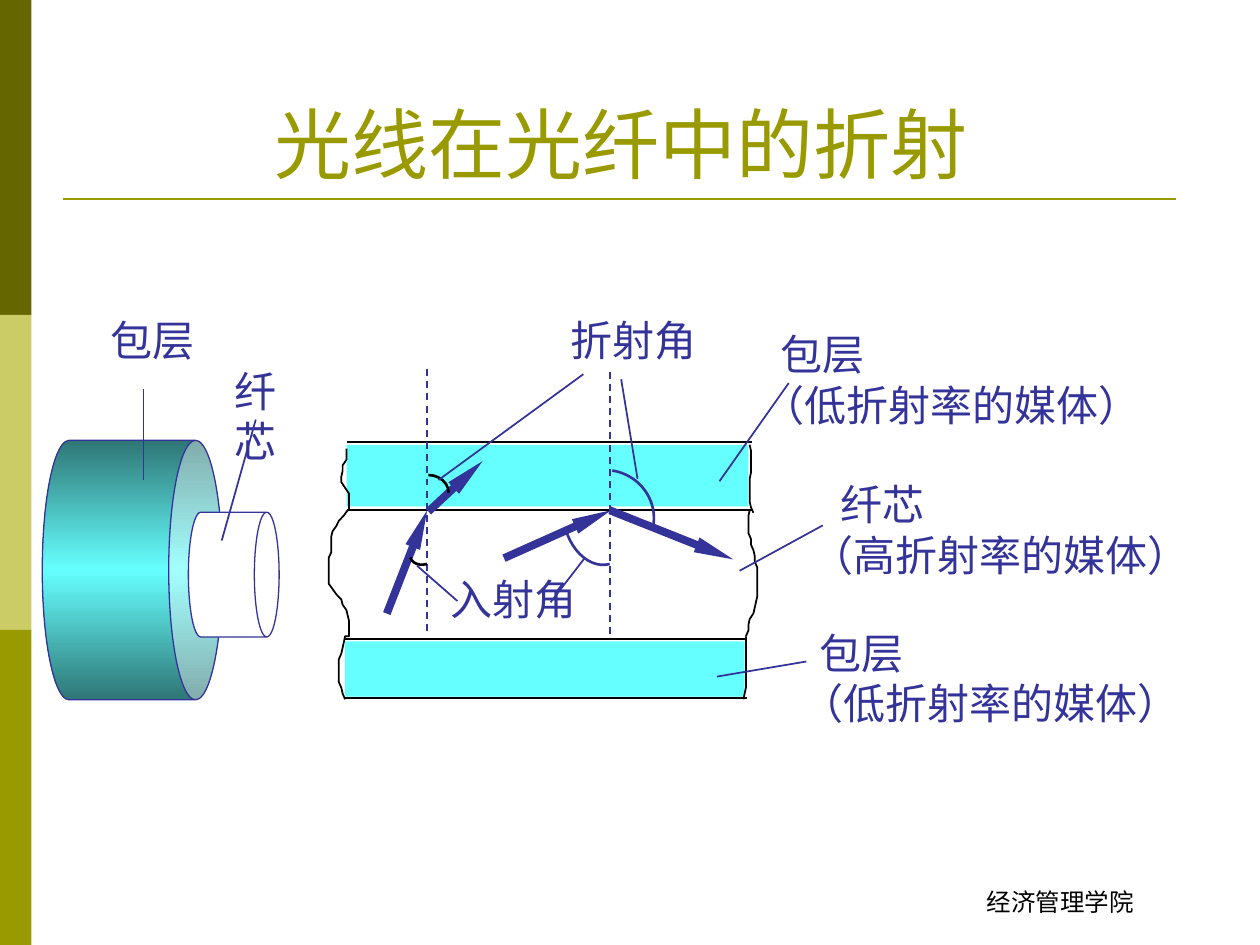
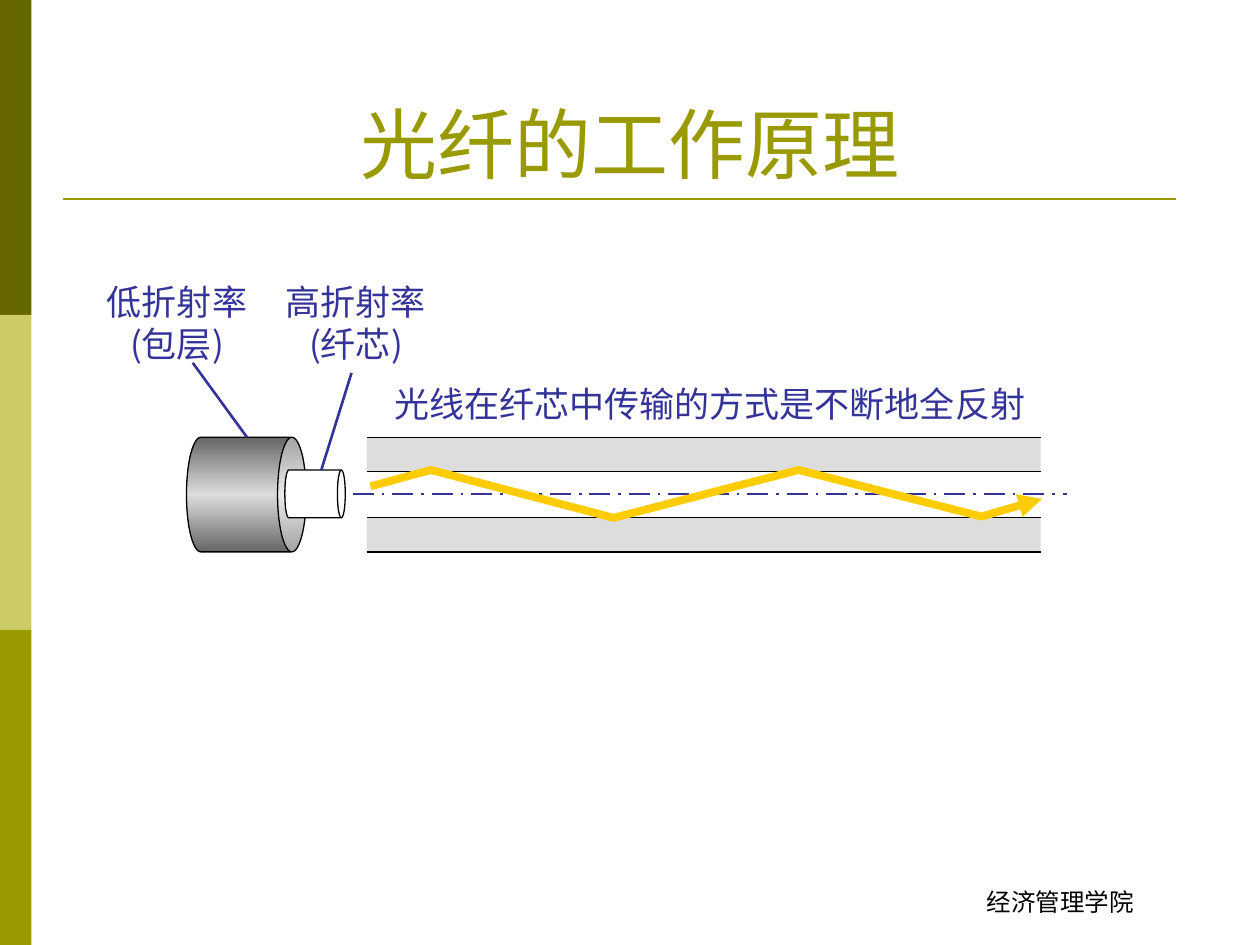
from copy import deepcopy

from pptx import Presentation
from pptx.dml.color import RGBColor
from pptx.enum.dml import MSO_LINE
from pptx.enum.shapes import MSO_CONNECTOR, MSO_SHAPE
from pptx.enum.text import MSO_ANCHOR, PP_ALIGN
from pptx.oxml.ns import qn
from pptx.util import Inches, Pt

STRAIGHT = MSO_CONNECTOR.STRAIGHT
RECT, CAN, ARC = MSO_SHAPE.RECTANGLE, MSO_SHAPE.CAN, MSO_SHAPE.ARC
DASH, DASHDOT = MSO_LINE.DASH, MSO_LINE.LONG_DASH_DOT
LEFT, CENTER = PP_ALIGN.LEFT, PP_ALIGN.CENTER
TOP, BOTTOM = MSO_ANCHOR.TOP, MSO_ANCHOR.BOTTOM
HAN = "Noto Sans CJK SC"
HUES = {
    "dark": "666600", "pale": "CCCC66", "olive": "999900",
    "ink": "333399", "black": "000000", "white": "FFFFFF",
    "aqua": "66FFFF", "teal": "2F7676",
    "gray": "DDDDDD", "shade": "666666", "gold": "FFCC00",
}


def rgb(hue):
    """Return the colour with the given name."""
    return RGBColor.from_string(HUES[hue])


def style(frame, size, font, hue, align=LEFT, anchor=TOP):
    """Format all the text of a frame."""
    frame.word_wrap = True
    frame.vertical_anchor = anchor
    for para in frame.paragraphs:
        para.alignment = align
        for run in para.runs:
            run.font.size = Pt(size)
            run.font.name = font
            run.font.color.rgb = rgb(hue)
            props = run.font._element
            props.append(props.makeelement(qn("a:ea"), {"typeface": HAN}))


def label(slide, text, x, y, w, h, size=24, font="Arial", hue="ink",
          align=LEFT, anchor=TOP, indent=0):
    """Add a text box, with an optional indent on its first line."""
    box = slide.shapes.add_textbox(Inches(x), Inches(y), Inches(w), Inches(h))
    frame = box.text_frame
    frame.text = text
    style(frame, size, font, hue, align, anchor)
    if indent:
        props = frame.paragraphs[0]._p.get_or_add_pPr()
        props.set("marL", str(Inches(indent)))
        props.set("indent", "0")


def pen(shape, hue, width):
    """Set the line of a shape."""
    shape.line.color.rgb = rgb(hue)
    shape.line.width = Pt(width)


def tip(shape, w="med", length="med"):
    """Put a triangle at the end of a line."""
    line = shape._element.spPr.get_or_add_ln()
    line.append(line.makeelement(
        qn("a:tailEnd"), {"type": "triangle", "w": w, "len": length}))


def link(slide, x1, y1, x2, y2, hue="ink", width=1.0, dash=None):
    """Add a straight line."""
    line = slide.shapes.add_connector(
        STRAIGHT, Inches(x1), Inches(y1), Inches(x2), Inches(y2))
    pen(line, hue, width)
    if dash:
        line.line.dash_style = dash
    props = line._element.spPr
    props.append(props.makeelement(qn("a:effectLst"), {}))
    return line


def solid(slide, kind, x, y, w, h, fill=None, turn=0):
    """Add a preset shape without line or shadow."""
    shape = slide.shapes.add_shape(
        kind, Inches(x), Inches(y), Inches(w), Inches(h))
    shape.shadow.inherit = False
    shape.rotation = turn
    shape.line.fill.background()
    if fill:
        shape.fill.solid()
        shape.fill.fore_color.rgb = rgb(fill)
    else:
        shape.fill.background()
    return shape


def tube(slide, x, y, w, h, lip, hue, fill="white", edge=None):
    """Add a cylinder on its side, shaded towards its edges if asked."""
    can = solid(slide, CAN, x, y, w, h, fill, 90)
    can.adjustments[0] = lip
    pen(can, hue, 0.75)
    if edge:
        can.fill.gradient()
        can.fill.gradient_angle = 0
        first, mid = can.fill.gradient_stops
        first.color.rgb, mid.color.rgb = rgb(edge), rgb(fill)
        first.position, mid.position = 0, 0.5
        stops = can._element.spPr.find(qn("a:gradFill")).find(qn("a:gsLst"))
        last = deepcopy(stops[0])
        last.set("pos", "100000")
        stops.append(last)


def arc(slide, x, y, rx, ry, turn, hue):
    """Add a quarter arc about a centre."""
    curve = solid(slide, ARC, x - rx, y - ry, 2 * rx, 2 * ry, turn=turn)
    pen(curve, hue, 1.5)


def trace(slide, points, hue, width):
    """Add an open outline through the points."""
    spots = [(Inches(x), Inches(y)) for x, y in points]
    build = slide.shapes.build_freeform(*spots[0])
    build.add_line_segments(spots[1:], close=False)
    path = build.convert_to_shape()
    path.shadow.inherit = False
    path.fill.background()
    pen(path, hue, width)
    return path


def spread(xs, top, end):
    """Pair the x values with evenly spaced heights."""
    step = (end - top) / (len(xs) - 1)
    return [(x, top + i * step) for i, x in enumerate(xs)]


def start(deck, title):
    """Add a slide with the side bands, title, rule and footer."""
    slide = deck.slides.add_slide(deck.slide_layouts[5])
    for i, hue in enumerate(("dark", "pale", "olive")):
        solid(slide, RECT, 0, 2.5 * i, 0.25, 2.5, hue)
    link(slide, 0.5, 1.58, 9.33, 1.58, "olive", 1.5)
    head = slide.shapes.title
    head.left, head.top = Inches(0.5), Inches(0.3)
    head.width, head.height = Inches(9), Inches(1.25)
    head.text_frame.text = title
    style(head.text_frame, 44, "Times New Roman", "olive", CENTER, BOTTOM)
    label(slide, "经济管理学院", 6.83, 6.82, 3.17, 0.5, 14, "Karla", "black",
          CENTER, BOTTOM)
    return slide


def layers(slide):
    """Draw the cut fibre with its torn ends."""
    for x, y, w, h in ((2.75, 3.53, 3.19, 0.49), (2.74, 5.09, 3.17, 0.44)):
        solid(slide, RECT, x, y, w, h, "aqua")
    for x, y, end in ((2.75, 3.51, 5.97), (2.75, 4.05, 5.97),
                      (2.73, 5.07, 5.93), (2.73, 5.54, 5.93)):
        link(slide, x, y, end, y, "black")
    upper = [2.75] * 3 + [2.72] * 2 + [2.71] * 2 + [2.74] + [2.77] * 4
    core = ([2.76, 2.73, 2.69, 2.67, 2.64] + [2.63] * 4 + [2.61] * 6
            + [2.64, 2.67, 2.71, 2.72, 2.75, 2.76] + [2.77] * 4)
    lower = [2.74, 2.73, 2.72, 2.71] + [2.69] * 5 + [2.71, 2.72, 2.74]
    left = (spread(upper, 3.56, 4.05) + spread(core, 4.05, 5.05)
            + spread(lower, 5.05, 5.55))
    upper = [5.95] + [5.96] * 5 + [5.95] * 5 + [5.96, 5.98]
    core = ([5.95] + [5.94] * 4 + [5.96] * 2 + [5.98] + [5.99] * 2
            + [6.01] * 6 + [6, 5.99, 5.98, 5.95, 5.94, 5.94, 5.92])
    lower = [5.92] * 10 + [5.91, 5.9]
    for points in (left, spread(upper, 3.53, 4.07),
                   spread(core, 4.05, 5.05), spread(lower, 5.05, 5.55)):
        trace(slide, points, "black", 1)


def bend(deck):
    """Build the slide on refraction."""
    slide = start(deck, "光线在光纤中的折射 ")
    layers(slide)
    for x, y in ((3.39, 2.93), (4.84, 2.95)):
        link(slide, x, y, x, y + 2.12, dash=DASH)
    for ray in ((3.4, 4.06, 3.83, 3.66), (3.07, 4.87, 3.39, 4.05),
                (4, 4.43, 4.85, 4.05), (4.84, 4.05, 5.82, 4.44)):
        tip(link(slide, *ray, width=4.5), "sm", "lg")
    for curve in ((3.36, 4.39, 0.11, 0.09, 162, "black"),
                  (3.4, 3.91, 0.16, 0.14, 0, "black"),
                  (4.74, 4.13, 0.26, 0.36, 164, "ink"),
                  (4.8, 4.11, 0.39, 0.38, 9, "ink")):
        arc(slide, *curve)
    tube(slide, 0.02, 3.81, 2.06, 1.43, 0.298, "ink", "aqua", "teal")
    tube(slide, 1.36, 4.2, 0.99, 0.72, 0.273, "ink")
    for text, x, y, w, h in (("折射角", 4.43, 2.45, 1.4, 0.5),
                             ("入射角", 3.48, 4.5, 1.4, 0.5),
                             ("包层", 0.78, 2.45, 1, 0.5),
                             ("纤芯", 1.76, 2.85, 0.76, 0.9)):
        label(slide, text, x, y, w, h)
    low, high = "包层\n（低折射率的媒体）", "纤芯\n（高折射率的媒体）"
    for text, x, y, indent in ((low, 5.95, 2.56, 0.15),
                               (high, 6.34, 3.75, 0.23),
                               (low, 6.26, 4.93, 0.15)):
        label(slide, text, x, y, 3.4, 0.9, indent=indent)
    for ends in ((4.93, 3.01, 5.06, 3.8), (3.48, 3.81, 4.63, 2.97),
                 (3.31, 4.49, 3.63, 4.77), (4.37, 4.78, 4.64, 4.43),
                 (5.87, 4.53, 6.53, 4.17), (6.26, 3.04, 5.71, 3.82),
                 (6.4, 5.25, 5.69, 5.37), (1.14, 3.09, 1.14, 3.81),
                 (2.03, 3.33, 1.76, 4.29)):
        link(slide, *ends)


def guide(deck):
    """Build the slide on how a fibre works."""
    slide = start(deck, "光纤的工作原理")
    for y, h, hue in ((3.47, 0.27, "gray"), (3.74, 0.37, "white"),
                      (4.11, 0.27, "gray")):
        solid(slide, RECT, 2.91, y, 5.35, h, hue)
    tube(slide, 1.5, 3.45, 0.91, 0.95, 0.25, "black", "gray", "shade")
    tube(slide, 2.31, 3.68, 0.38, 0.48, 0.164, "black")
    for y in (3.47, 3.74, 4.11, 4.38):
        link(slide, 2.91, y, 8.26, y, "black", 0.75)
    link(slide, 2.8, 3.92, 8.47, 3.92, width=1.5, dash=DASHDOT)
    for text, x in (("高折射率\n(纤芯)", 2.07), ("低折射率\n(包层)", 0.65)):
        label(slide, text, x, 2.18, 1.51, 0.77, 20, HAN, align=CENTER)
    label(slide, "光线在纤芯中传输的方式是不断地全反射",
          3.03, 2.99, 5.4, 0.44, 20, HAN)
    link(slide, 2.79, 2.96, 2.55, 3.73, width=1.5)
    link(slide, 1.53, 2.88, 1.96, 3.47, width=1.5)
    ray = [(2.94, 3.86), (3.42, 3.73), (4.87, 4.11),
           (6.34, 3.73), (7.79, 4.1), (8.27, 3.96)]
    tip(trace(slide, ray, "gold", 4.5))


def main():
    """Build and save the deck."""
    deck = Presentation()
    deck.slide_width, deck.slide_height = Inches(10), Inches(7.5)
    bend(deck)
    guide(deck)
    deck.save("out.pptx")


if __name__ == "__main__":
    main()
